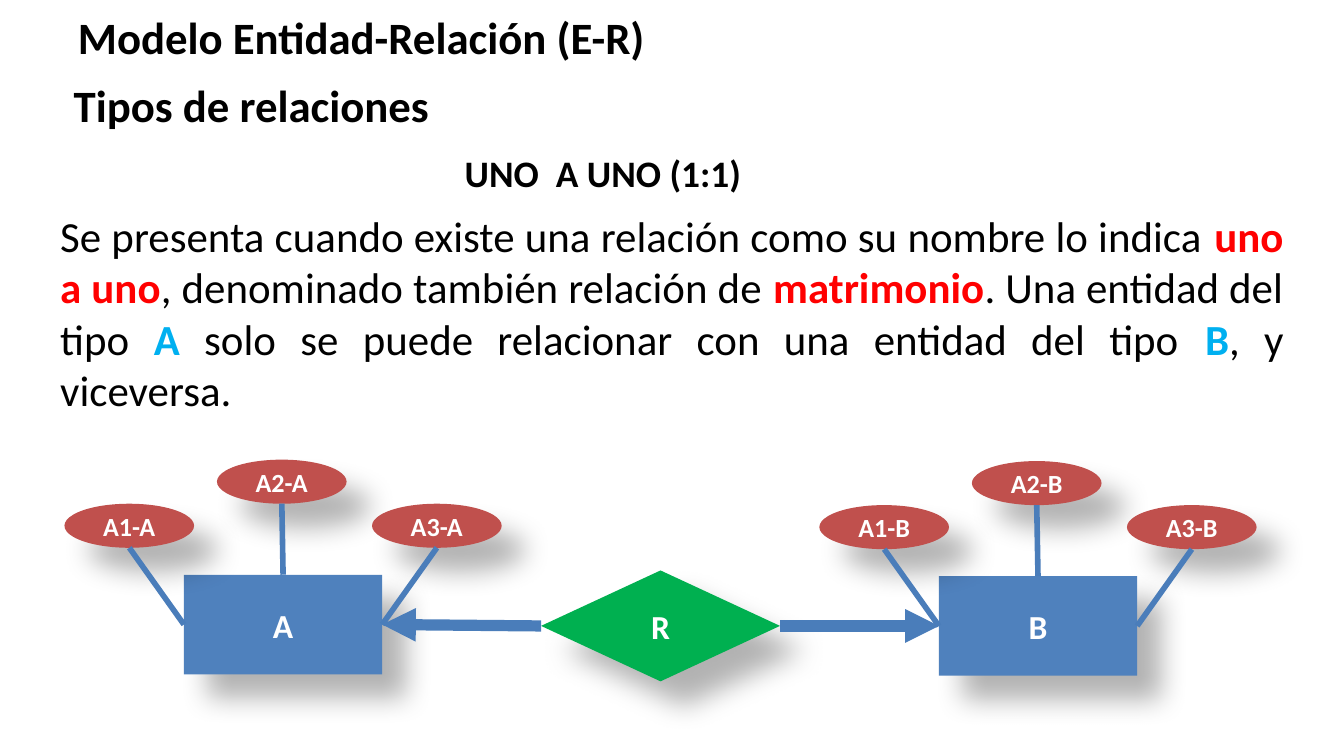
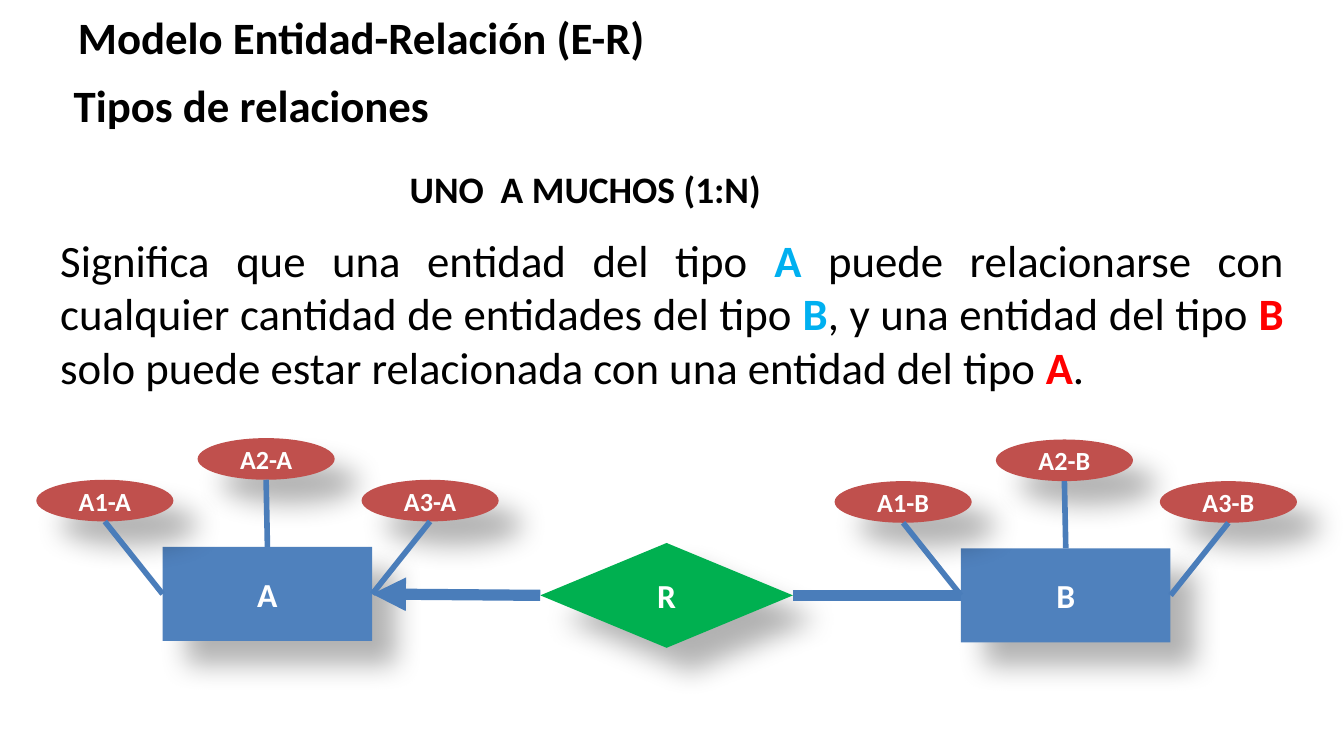
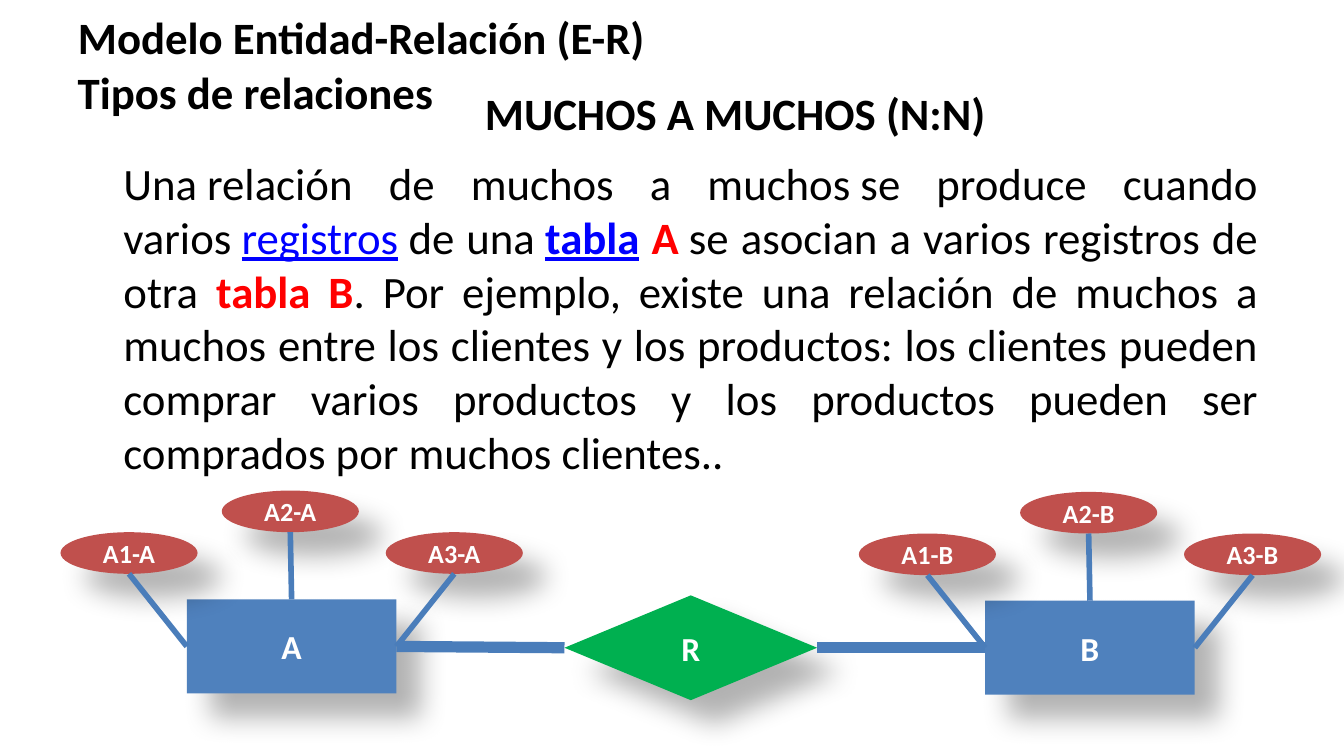
from lxml import etree
from pptx import Presentation
from pptx import util as u
from pptx.dml.color import RGBColor
from pptx.enum import shapes, text
from pptx.oxml.ns import qn

BLACK = RGBColor(0, 0, 0)
WHITE = RGBColor(255, 255, 255)
RED = RGBColor(255, 0, 0)
SKY = RGBColor(0, 176, 240)
LINK = RGBColor(0, 0, 255)
BLUE = RGBColor(79, 129, 189)
GREEN = RGBColor(0, 176, 80)
BRICK = RGBColor(192, 80, 77)
EDGE = RGBColor(74, 125, 186)
FONT = "Calibri"
SIZE = (10, 10 * 9 / 16)
HARD = chr(160)  # no-break space

# Run styles: colour, bold, underline
PLAIN = (BLACK, False, False)
HOT = (RED, True, False)
COOL = (SKY, True, False)
TERM = (LINK, False, True)
TERM_BOLD = (LINK, True, True)

TITLE = "Modelo Entidad-Relación (E-R)"
TOPIC = "Tipos de relaciones"
TITLE_BOX = (0.48, 0.02, 4.52, 0.51)

# Boxes are left, top, width, height in inches; "arrows" names the entities pointed at
SLIDES = [
    {
        "topic": (0.45, 0.53, 3.34, 0.51),
        "head": ("UNO  A UNO (1:1)", 20, (3.36, 1.07, 2.27, 0.44)),
        "size": 23, "body": (0.35, 1.51, 9.3, 1.65),
        "runs": [
            ("Se presenta cuando existe una relación como su nombre lo indica ", PLAIN),
            ("uno a uno", HOT),
            (", denominado también relación de ", PLAIN),
            ("matrimonio", HOT),
            (". Una entidad del tipo ", PLAIN),
            ("A", COOL),
            (" solo se puede relacionar con una entidad del tipo ", PLAIN),
            ("B", COOL),
            (", y viceversa. ", PLAIN),
        ],
        "frame": (0.48, 3.42, 8.87, 1.65), "arrows": "AB",
    },
    {
        "topic": (0.45, 0.53, 3.34, 0.51),
        "head": ("UNO  A MUCHOS (1:N)", 20, (2.95, 1.19, 2.84, 0.44)),
        "size": 24, "body": (0.35, 1.68, 9.3, 1.72),
        "runs": [
            ("Significa que una entidad del tipo ", PLAIN),
            ("A", COOL),
            (" puede relacionarse con cualquier cantidad de entidades del tipo ", PLAIN),
            ("B", COOL),
            (", y una entidad del tipo ", PLAIN),
            ("B", HOT),
            (" solo puede estar relacionada con una entidad del tipo ", PLAIN),
            ("A", HOT),
            (". ", PLAIN),
        ],
        "frame": (0.27, 3.26, 9.38, 1.56), "arrows": "A",
    },
    {
        "topic": (0.48, 0.43, 3.23, 0.5),
        "head": ("MUCHOS A MUCHOS (N:N)", 24, (3.51, 0.59, 3.94, 0.51)),
        "size": 24, "body": (0.82, 1.11, 8.64, 2.52),
        "runs": [
            (f"Una{HARD}relación de muchos a muchos{HARD}se produce cuando "
             f"varios{HARD}", PLAIN),
            ("registros", TERM),
            (f"{HARD}de una{HARD}", PLAIN),
            ("tabla", TERM_BOLD),
            (f" A{HARD}", HOT),
            ("se asocian a varios registros de otra ", PLAIN),
            ("tabla B", HOT),
            (". Por ejemplo, existe una relación de muchos a muchos entre los clientes "
             "y los productos: los clientes pueden comprar varios productos y los "
             "productos pueden ser comprados por muchos clientes..", PLAIN),
        ],
        "frame": (0.45, 3.65, 9.38, 1.56), "arrows": "",
    },
]

# Diagram on a grid of 9.38 by 1.56 units, stretched to each slide's frame
GRID = (9.38, 1.56)
ENTITY = (0.94, 0.81, 1.56, 0.7)
BOND = (3.75, 0.78, 1.88, 0.78)
OVAL = (1.02, 0.31)
# Each attribute: left, top, side of the entity that it joins
OVALS = [(0, 0.31, 1), (1.2, 0, 0), (2.42, 0.31, 3)]
# Each entity: shift right, shift down, side facing the bond, side of the bond
SIDES = {"A": (0, 0, 3, 1), "B": (5.94, 0.01, 1, 3)}


def inches(box):
    return [u.Inches(n) for n in box]


def style(run, size, look):
    font = run.font
    font.name, font.size = FONT, u.Pt(size)
    font.color.rgb, font.bold, font.underline = look


def heading(shape, words, size, box):
    shape.left, shape.top, shape.width, shape.height = inches(box)
    frame = shape.text_frame
    frame.text = words
    frame.word_wrap = True
    frame.auto_size = text.MSO_AUTO_SIZE.SHAPE_TO_FIT_TEXT
    frame.vertical_anchor = text.MSO_ANCHOR.TOP
    para = frame.paragraphs[0]
    para.alignment = text.PP_ALIGN.LEFT
    indent = u.Inches(0.38)
    props = para._p.get_or_add_pPr()
    props.set("marL", str(indent))
    props.set("indent", str(-indent))
    style(para.runs[0], size, (BLACK, True, False))


def prose(slide, runs, size, box):
    frame = slide.shapes.add_textbox(*inches(box)).text_frame
    frame.word_wrap = True
    frame.auto_size = text.MSO_AUTO_SIZE.SHAPE_TO_FIT_TEXT
    para = frame.paragraphs[0]
    para.alignment = text.PP_ALIGN.JUSTIFY
    for words, look in runs:
        run = para.add_run()
        run.text = words
        style(run, size, look)


def node(slide, kind, words, size, fill, box):
    shape = slide.shapes.add_shape(kind, *inches(box))
    shape.fill.solid()
    shape.fill.fore_color.rgb = fill
    shape.line.fill.background()
    shape.shadow.inherit = False
    effects = shape._element.spPr.find(qn("a:effectLst"))
    shade = etree.SubElement(
        effects, qn("a:outerShdw"), blurRad=str(u.Pt(15)), dist=str(u.Pt(18)),
        dir=str(45 * 60000), algn="tl", rotWithShape="0")
    color = etree.SubElement(shade, qn("a:srgbClr"), val=str(BLACK))
    etree.SubElement(color, qn("a:alpha"), val="30000")
    frame = shape.text_frame
    frame.text = words
    frame.word_wrap = size > 14
    frame.vertical_anchor = text.MSO_ANCHOR.MIDDLE
    para = frame.paragraphs[0]
    para.alignment = text.PP_ALIGN.CENTER
    style(para.runs[0], size, (WHITE, True, False))
    return shape


def link(slide, start, goal, side, width, arrow=False):
    """Draw a line from a point to the middle of one side of the goal."""
    line = slide.shapes.add_connector(shapes.MSO_CONNECTOR.STRAIGHT, *start, *start)
    line.end_connect(goal, side)
    line.line.color.rgb = EDGE
    line.line.width = u.Pt(width)
    if arrow:
        etree.SubElement(line.line._get_or_add_ln(), qn("a:tailEnd"), type="triangle")
    etree.SubElement(line._element.spPr, qn("a:effectLst"))
    return line


def diagram(slide, frame, arrows):
    left, top, wide, high = frame
    across, down = wide / GRID[0], high / GRID[1]

    def place(x, y, w, h):
        return left + x * across, top + y * down, w * across, h * down

    kinds = shapes.MSO_SHAPE
    x, y, w, h = ENTITY
    ents = {name: node(slide, kinds.RECTANGLE, name, 18, BLUE,
                       place(x + dx, y + dy, w, h))
            for name, (dx, dy, *_) in SIDES.items()}
    bond = node(slide, kinds.FLOWCHART_DECISION, "R", 18, GREEN, place(*BOND))
    for name, (_, _, near, far) in SIDES.items():
        line = link(slide, (bond.left, bond.top), ents[name], near, 6, name in arrows)
        line.begin_connect(bond, far)
    for name, (dx, dy, *_) in SIDES.items():
        for i, (x, y, side) in enumerate(OVALS, 1):
            oval = node(slide, kinds.OVAL, f"A{i}-{name}", 14, BRICK,
                        place(x + dx, y + dy, *OVAL))
            foot = (oval.left + oval.width // 2, oval.top + oval.height)
            link(slide, foot, ents[name], side, 3)


def main():
    deck = Presentation()
    deck.slide_width, deck.slide_height = inches(SIZE)
    for data in SLIDES:
        slide = deck.slides.add_slide(deck.slide_layouts[5])
        heading(slide.shapes.title, TITLE, 24, TITLE_BOX)
        for words, size, box in [(TOPIC, 24, data["topic"]), data["head"]]:
            heading(slide.shapes.add_textbox(*inches(box)), words, size, box)
        prose(slide, data["runs"], data["size"], data["body"])
        diagram(slide, data["frame"], data["arrows"])
    deck.save("out.pptx")


if __name__ == "__main__":
    main()
